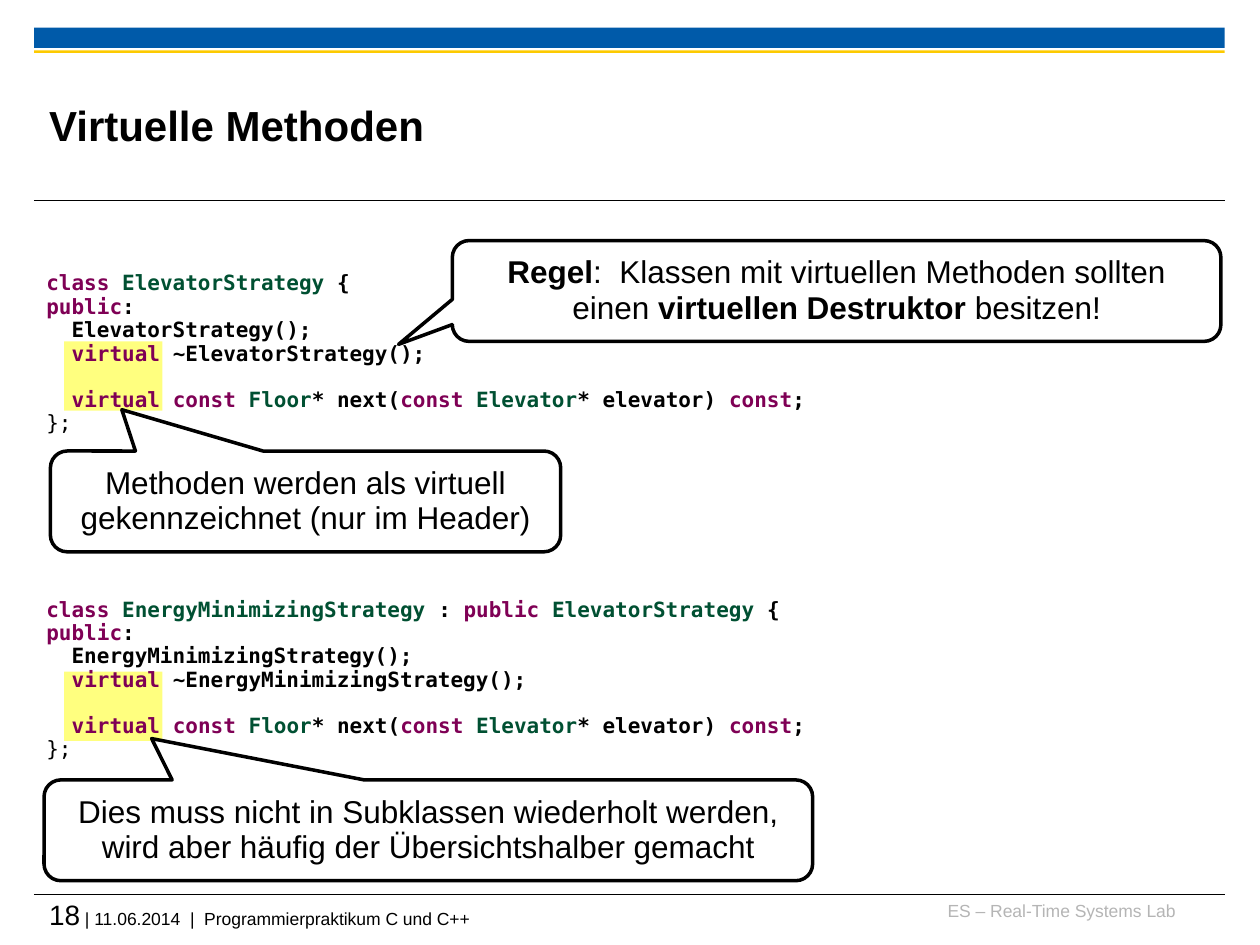
from itertools import groupby

from lxml import etree
from pptx import Presentation
from pptx.dml.color import RGBColor
from pptx.enum.shapes import MSO_CONNECTOR, MSO_SHAPE
from pptx.enum.text import MSO_ANCHOR, MSO_AUTO_SIZE, PP_ALIGN
from pptx.oxml.ns import qn
from pptx.util import Inches, Pt

LEFT, CENTER, RIGHT = PP_ALIGN.LEFT, PP_ALIGN.CENTER, PP_ALIGN.RIGHT
TOP, MIDDLE = MSO_ANCHOR.TOP, MSO_ANCHOR.MIDDLE
NO_AUTOFIT = MSO_AUTO_SIZE.NONE
RECTANGLE, CALLOUT = MSO_SHAPE.RECTANGLE, MSO_SHAPE.ROUNDED_RECTANGULAR_CALLOUT
STRAIGHT = MSO_CONNECTOR.STRAIGHT

BLACK, WHITE, GRAY = "000000", "FFFFFF", "B5B5B5"
BLUE, GOLD, YELLOW = "005AA9", "FDCA00", "FFFF00"
KEYWORD_COLOR, TYPE_COLOR = "7F0055", "005032"
KEYWORDS = {"class", "public", "virtual", "const"}
CODE_FONT = "DejaVu Sans Mono"
CODE_LINE = 13
TIGHT = 0.93

BASE_CODE = """class ElevatorStrategy {
public:
  ElevatorStrategy();
  virtual ~ElevatorStrategy();

  virtual const Floor* next(const Elevator* elevator) const;
};"""
DERIVED_CODE = """class EnergyMinimizingStrategy : public ElevatorStrategy {
public:
  EnergyMinimizingStrategy();
  virtual ~EnergyMinimizingStrategy();

  virtual const Floor* next(const Elevator* elevator) const;
};"""


def rgb(color):
    return RGBColor.from_string(color)


def write_run(paragraph, text, size=18, font="Arial", color=BLACK, bold=False):
    run = paragraph.add_run()
    run.text = text
    run.font.size = Pt(size)
    run.font.name = font
    run.font.color.rgb = rgb(color)
    run.font.bold = bold


def prepare_frame(shape, anchor=TOP, inset=None):
    frame = shape.text_frame
    frame.word_wrap = True
    frame.auto_size = NO_AUTOFIT
    frame.vertical_anchor = anchor
    if inset is not None:
        frame.margin_left = frame.margin_right = Inches(inset)
        frame.margin_top = frame.margin_bottom = Inches(inset)
    return frame


def write_text(shape, runs, align=LEFT, anchor=TOP, inset=None, spacing=None):
    """Fill a shape with one paragraph of (text, format) pairs."""
    paragraph = prepare_frame(shape, anchor, inset).paragraphs[0]
    paragraph.alignment = align
    if spacing:
        paragraph.line_spacing = spacing
    for text, style in runs:
        write_run(paragraph, text, **style)


def add_textbox(slide, box):
    return slide.shapes.add_textbox(*map(Inches, box))


def add_filled_shape(slide, kind, box, fill, opacity=None):
    shape = slide.shapes.add_shape(kind, *map(Inches, box))
    shape.shadow.inherit = False
    shape.fill.solid()
    shape.fill.fore_color.rgb = rgb(fill)
    shape.line.fill.background()
    if opacity:
        color = shape.fill._xPr.find(".//" + qn("a:srgbClr"))
        etree.SubElement(color, qn("a:alpha")).set("val", str(opacity * 1000))
    return shape


def add_rule(slide, left, top, width):
    line = slide.shapes.add_connector(
        STRAIGHT, Inches(left), Inches(top), Inches(left + width), Inches(top))
    line.line.color.rgb = rgb(BLACK)
    line.line.width = Pt(0.6)
    etree.SubElement(line._element.spPr, qn("a:effectLst"))


def add_header(slide, box, title):
    left, top, width, height = box
    add_filled_shape(slide, RECTANGLE, (left, top, width, 0.16), BLUE)
    add_filled_shape(slide, RECTANGLE, (left, top + 0.18, width, 0.02), GOLD)
    add_rule(slide, left, top + height, width)
    heading = slide.shapes.title
    heading.left, heading.top = Inches(left + 0.12), Inches(top + 0.31)
    heading.width, heading.height = Inches(7.52), Inches(0.92)
    write_text(heading, [(title, {"size": 24, "bold": True})], anchor=MIDDLE, inset=0)


def add_footer(slide, box, number, details, group):
    left, top, width, height = box
    add_rule(slide, left, top, width)
    group_box = add_textbox(slide, (left + 7.09, top + 0.04, 1.97, 0.25))
    write_text(group_box, [(group, {"size": 10, "color": GRAY})], align=RIGHT, inset=0)
    details_box = add_textbox(slide, (left + 0.12, top + 0.02, width - 0.12, height))
    write_text(details_box, [(number, {"size": 16}), (details, {"size": 10})], inset=0)


def code_runs(line):
    """Yield the (text, color) pieces of a line of C++."""
    pieces = ["".join(group) for _, group in groupby(line, str.isalnum)]
    for piece, following in zip(pieces, pieces[1:] + [""]):
        if piece in KEYWORDS:
            yield piece, KEYWORD_COLOR
        elif piece[0].isupper() and not following.startswith("("):
            yield piece, TYPE_COLOR
        else:
            yield piece, BLACK


def add_code(slide, box, code, highlight_top):
    """Place a listing over a marker behind its virtual keywords."""
    left, top, _, _ = box
    add_filled_shape(slide, RECTANGLE, (left + 0.24, top + highlight_top, 0.78, 0.55),
                     YELLOW, opacity=50)
    frame = prepare_frame(add_textbox(slide, box))
    paragraph, gap = frame.paragraphs[0], 0
    for index, line in enumerate(code.splitlines()):
        if not line:
            gap = CODE_LINE
            continue
        if index:
            paragraph = frame.add_paragraph()
        paragraph.line_spacing = TIGHT
        if gap:
            paragraph.space_before = Pt(gap)
            gap = 0
        for text, color in code_runs(line):
            write_run(paragraph, text, size=12, font=CODE_FONT, color=color,
                      bold=line != "};")


def add_callout(slide, box, runs, tip):
    """Place a speech bubble; tip is relative to its centre and size."""
    callout = add_filled_shape(slide, CALLOUT, box, WHITE)
    callout.line.color.rgb = rgb(BLACK)
    callout.line.width = Pt(2)
    callout.adjustments[0], callout.adjustments[1] = tip
    write_text(callout, runs, align=CENTER, anchor=MIDDLE, spacing=TIGHT)


def main():
    presentation = Presentation()
    presentation.slide_width, presentation.slide_height = Inches(10), Inches(7.5)
    slide = presentation.slides.add_slide(presentation.slide_layouts[5])
    add_header(slide, (0.27, 0.22, 9.45, 1.37), "Virtuelle Methoden")
    add_footer(slide, (0.27, 7.1, 9.45, 0.33), "18",
               " | 11.06.2014  |  Programmierpraktikum C und C++",
               "ES – Real-Time Systems Lab")
    add_code(slide, (0.27, 2.11, 7.3, 1.42), BASE_CODE, 0.6)
    add_code(slide, (0.27, 4.7, 7.3, 1.42), DERIVED_CODE, 0.63)

    bold = {"bold": True}
    below_code = (-0.36, -0.91)
    add_callout(slide, (0.4, 3.58, 4.05, 0.8),
                [("Methoden werden als virtuell gekennzeichnet (nur im Header)", {})],
                below_code)
    add_callout(slide, (0.35, 6.19, 6.1, 0.8),
                [("Dies muss nicht in Subklassen wiederholt werden, "
                  "wird aber häufig der Übersichtshalber gemacht", {})],
                below_code)
    add_callout(slide, (3.59, 1.91, 6.1, 0.8),
                [("Regel", bold), (":  Klassen mit virtuellen Methoden sollten einen ", {}),
                 ("virtuellen Destruktor", bold), (" besitzen!", {})],
                (-0.57, 0.53))
    presentation.save("out.pptx")


if __name__ == "__main__":
    main()
